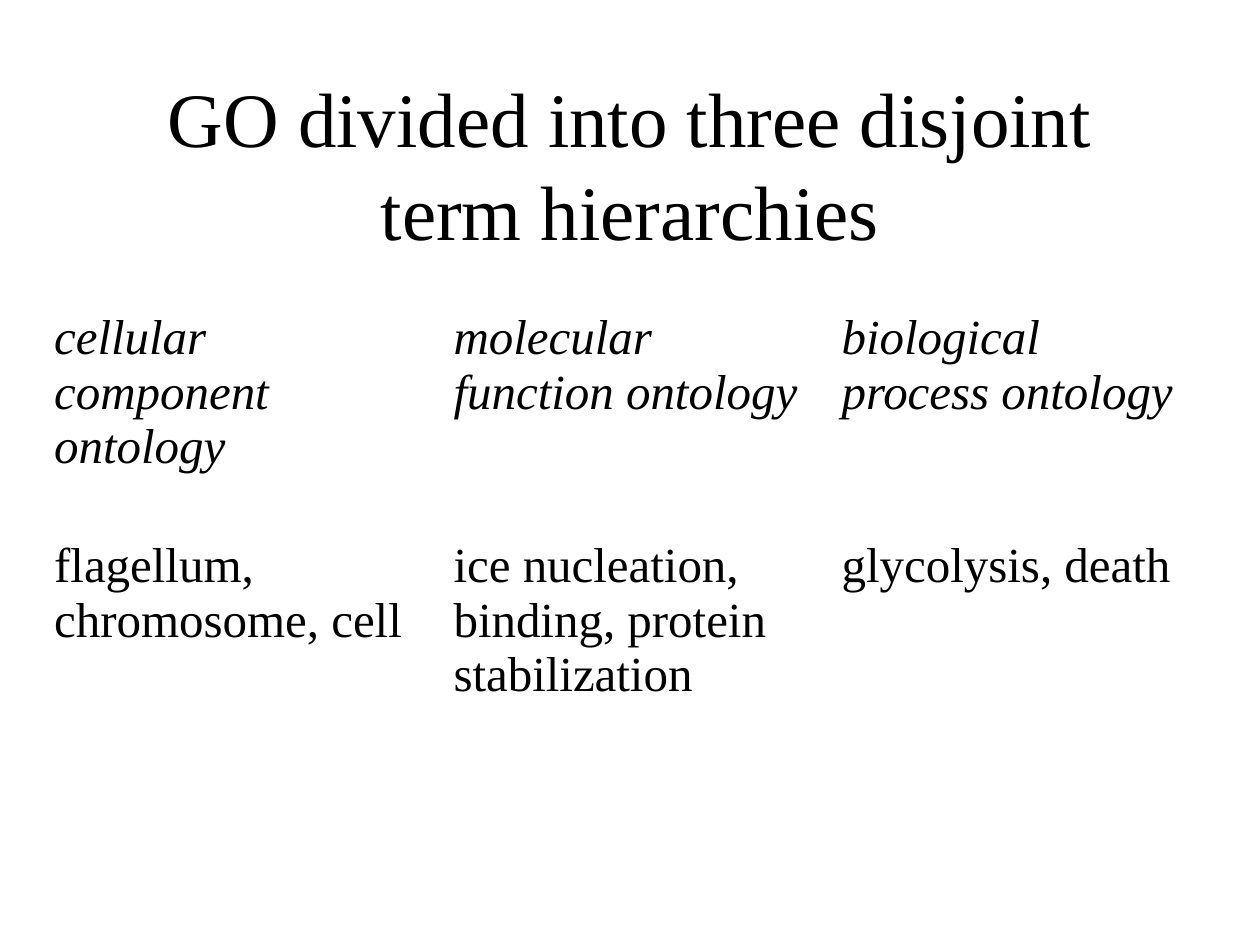
from typing import NamedTuple

from lxml import etree
from pptx import Presentation
from pptx.dml.color import RGBColor
from pptx.enum.text import MSO_ANCHOR, PP_ALIGN
from pptx.oxml.ns import qn
from pptx.util import Inches, Pt

MIDDLE = MSO_ANCHOR.MIDDLE
TOP = MSO_ANCHOR.TOP
LEFT = PP_ALIGN.LEFT
CENTER = PP_ALIGN.CENTER
FONT = "Times New Roman"
COLORS = {"ink": "000000", "edge": "FFFFFF"}
OUTER, INNER = 1.08, 0.45


class Branch(NamedTuple):
    """One term hierarchy with its column width in inches."""
    name: str
    terms: str
    width: float


BRANCHES = [
    Branch("cellular component ontology", "flagellum, chromosome, cell", 3.17),
    Branch("molecular function ontology",
           "ice nucleation, binding, protein stabilization", 3.08),
    Branch("biological process ontology", "glycolysis, death", 3),
]
ROWS = [1.81, 2.02]


def put_text(frame, text: str, *, size: float, italic: bool = False,
             align=LEFT, anchor=TOP) -> None:
    """Write one formatted paragraph into a text frame."""
    frame.word_wrap = True
    frame.vertical_anchor = anchor
    para = frame.paragraphs[0]
    para.alignment = align
    run = para.add_run()
    run.text = text
    font = run.font
    font.name, font.size, font.italic = FONT, Pt(size), italic
    font.color.rgb = RGBColor.from_string(COLORS["ink"])


def add_edges(cell, row: int, col: int) -> None:
    """Draw cell borders, thicker on the outside of the table."""
    outer = {"lnL": col == 0, "lnR": col == len(BRANCHES) - 1,
             "lnT": row == 0, "lnB": row == len(ROWS) - 1}
    props = cell._tc.get_or_add_tcPr()
    for tag, thick in outer.items():
        line = etree.SubElement(props, qn(f"a:{tag}"),
                                w=str(Pt(OUTER if thick else INNER)))
        fill = etree.SubElement(line, qn("a:solidFill"))
        etree.SubElement(fill, qn("a:srgbClr"), val=COLORS["edge"])


def add_grid(slide) -> None:
    """Add the table of hierarchies and their sample terms."""
    wide = sum(branch.width for branch in BRANCHES)
    grid = slide.shapes.add_table(
        len(ROWS), len(BRANCHES), Inches(0.33), Inches(2.42),
        Inches(wide), Inches(sum(ROWS))).table
    grid.first_row = grid.horz_banding = False
    for row, height in enumerate(ROWS):
        grid.rows[row].height = Inches(height)
    for col, branch in enumerate(BRANCHES):
        grid.columns[col].width = Inches(branch.width)
        for row, text in enumerate((branch.name, branch.terms)):
            cell = grid.cell(row, col)
            add_edges(cell, row, col)
            cell.fill.background()
            put_text(cell.text_frame, text, size=28, italic=row == 0)


def main() -> None:
    """Build and save the slide."""
    deck = Presentation()
    deck.slide_width, deck.slide_height = Inches(10), Inches(7.5)
    slide = deck.slides.add_slide(deck.slide_layouts[6])
    title = slide.shapes.add_textbox(
        Inches(0.75), Inches(0.67), Inches(8.5), Inches(1.25))
    put_text(title.text_frame, "GO divided into three disjoint term hierarchies",
             size=44, align=CENTER, anchor=MIDDLE)
    add_grid(slide)
    deck.save("out.pptx")


if __name__ == "__main__":
    main()
